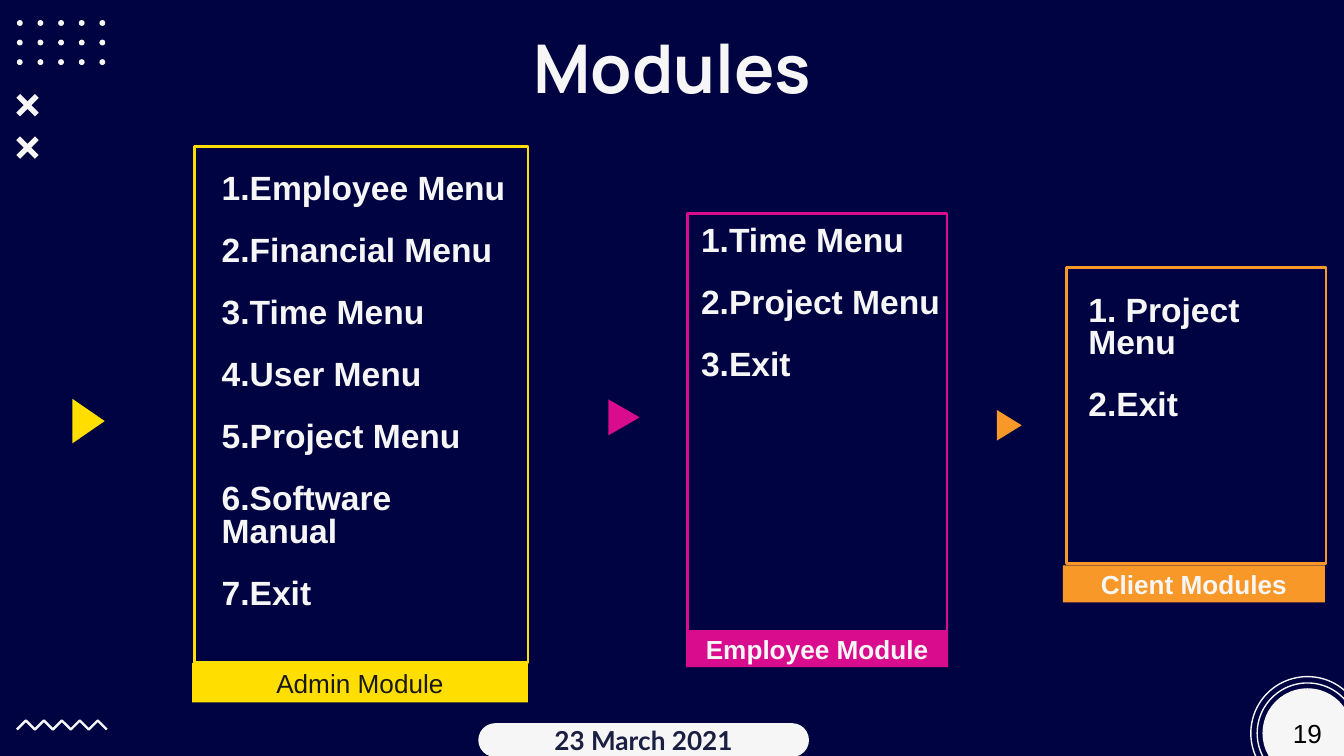
"""Build the Modules slide: three framed menus with arrows, captions and corner ornaments."""
from dataclasses import dataclass

from pptx import Presentation
from pptx.dml.color import RGBColor
from pptx.enum.shapes import MSO_SHAPE
from pptx.enum.text import MSO_ANCHOR, MSO_AUTO_SIZE, PP_ALIGN
from pptx.util import Cm, Pt


@dataclass(frozen=True)
class Theme:
    navy: str = "000341"
    white: str = "F6F6F6"
    yellow: str = "FFDE00"
    pink: str = "D80C8C"
    orange: str = "F89829"
    dark: str = "191919"
    black: str = "000000"
    date_blue: str = "1B1F42"
    body_font: str = "Arial"
    title_font: str = "Manrope"
    date_font: str = "Lato"
    title_size: int = 36
    list_size: int = 18
    label_size: int = 14


theme = Theme()


def paint(shape, fill=None, line=None, width=1.5):
    shape.shadow.inherit = False
    if fill:
        shape.fill.solid()
        shape.fill.fore_color.rgb = RGBColor.from_string(fill)
    else:
        shape.fill.background()
    if line:
        shape.line.color.rgb = RGBColor.from_string(line)
        shape.line.width = Pt(width)
    else:
        shape.line.fill.background()


def write(shape, lines, size, color, font=theme.body_font, bold=True, align=PP_ALIGN.CENTER, inset=0.25):
    frame = shape.text_frame
    frame.word_wrap = True
    frame.margin_left = frame.margin_right = frame.margin_top = frame.margin_bottom = Cm(inset)
    frame.text = "\n".join(lines)
    for para in frame.paragraphs:
        para.alignment = align
        for span in para.runs:
            span.font.size = Pt(size)
            span.font.name = font
            span.font.bold = bold
            span.font.color.rgb = RGBColor.from_string(color)


deck = Presentation()
deck.slide_width, deck.slide_height = Cm(25.4), Cm(14.29)
page = deck.slides.add_slide(deck.slide_layouts[6])
page.background.fill.solid()
page.background.fill.fore_color.rgb = RGBColor.from_string(theme.navy)
shapes = page.shapes

zigzag = [(Cm(0.32 + 0.17 * step), Cm(13.62 if step % 2 else 13.79)) for step in range(11)]
builder = shapes.build_freeform(*zigzag[0])
builder.add_line_segments(zigzag[1:], close=False)
paint(builder.convert_to_shape(), line=theme.white, width=1.25)

for center_y in (1.99, 2.79):
    cross = shapes.add_shape(MSO_SHAPE.CROSS, Cm(0.27), Cm(center_y - 0.25), Cm(0.5), Cm(0.5))
    cross.adjustments[0] = 0.4
    cross.rotation = 45
    paint(cross, theme.white)

for row in range(3):
    for column in range(5):
        dot = shapes.add_shape(
            MSO_SHAPE.OVAL, Cm(0.32 + 0.39 * column), Cm(0.38 + 0.37 * row), Cm(0.11), Cm(0.11))
        paint(dot, theme.white)

modules = [
    ("Admin Module", theme.yellow, theme.dark, False,
     (3.68, 2.77, 6.3, 9.75), (3.63, 12.53, 6.35, 0.75), (3.94, 3.05, 5.89, 9.6), (1.37, 7.54, 0.61, 0.84),
     ["1.Employee Menu", "2.Financial Menu", "3.Time Menu", "4.User Menu", "5.Project Menu",
      "6.Software Manual", "7.Exit"]),
    ("Employee Module", theme.pink, theme.white, True,
     (13, 4.04, 4.9, 7.9), (12.97, 11.91, 4.95, 0.7), (13, 4.04, 5.13, 3.84), (11.5, 7.55, 0.59, 0.68),
     ["1.Time Menu", "2.Project Menu", "3.Exit"]),
    ("Client Modules", theme.orange, theme.white, True,
     (20.16, 5.05, 4.9, 5.61), (20.09, 10.69, 4.95, 0.7), (20.32, 5.36, 4.72, 3.84), (18.84, 7.75, 0.47, 0.58),
     ["1. Project Menu", "2.Exit"]),
]
for name, color, text_color, bold, frame_area, label_area, list_area, arrow_area, entries in modules:
    border = shapes.add_shape(MSO_SHAPE.RECTANGLE, *map(Cm, frame_area))
    paint(border, line=color)

    label = shapes.add_shape(MSO_SHAPE.RECTANGLE, *map(Cm, label_area))
    paint(label, color)
    write(label, [name], theme.label_size, text_color, bold=bold)

    left, top, width, height = map(Cm, arrow_area)
    builder = shapes.build_freeform(left, top)
    builder.add_line_segments([(left, top + height), (left + width, top + height // 2)])
    paint(builder.convert_to_shape(), color)

    menu = shapes.add_textbox(*map(Cm, list_area))
    write(menu, entries, theme.list_size, theme.white, align=PP_ALIGN.LEFT)
    for para in menu.text_frame.paragraphs:
        para.line_spacing = 0.8
        para.space_after = Pt(16)

title = shapes.add_textbox(Cm(9.83), Cm(0.36), Cm(6.12), Cm(1.8))
write(title, ["Modules"], theme.title_size, theme.white, theme.title_font, align=PP_ALIGN.LEFT)
title.text_frame.margin_top = title.text_frame.margin_bottom = Cm(0.13)
title.text_frame.word_wrap = False
title.text_frame.auto_size = MSO_AUTO_SIZE.SHAPE_TO_FIT_TEXT

for diameter in (2.14, 1.9, 1.7):
    badge = shapes.add_shape(
        MSO_SHAPE.OVAL, Cm(24.71 - diameter / 2), Cm(13.86 - diameter / 2), Cm(diameter), Cm(diameter))
    paint(badge, line=theme.white, width=0.75)
paint(badge, theme.white)
write(badge, ["19"], theme.label_size, theme.black, bold=False, inset=0)

date = shapes.add_shape(MSO_SHAPE.ROUNDED_RECTANGLE, Cm(9.04), Cm(13.67), Cm(6.25), Cm(0.64))
date.adjustments[0] = 0.5
paint(date, theme.white)
write(date, ["23 March 2021"], theme.label_size, theme.date_blue, theme.date_font)

for shape in (badge, date):
    shape.text_frame.vertical_anchor = MSO_ANCHOR.MIDDLE

deck.save("out.pptx")
